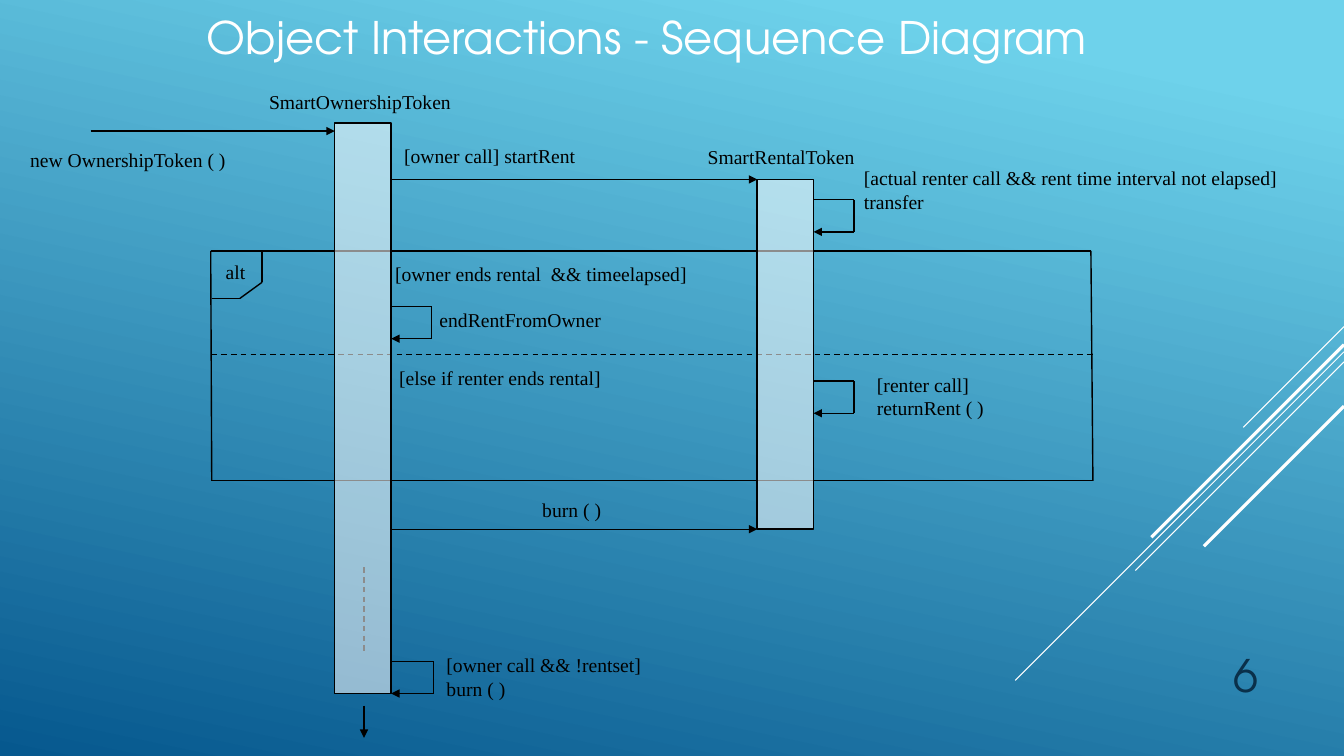
"""Builds the sequence diagram slide of the token rental interactions."""
from itertools import pairwise

from lxml import etree
from pptx import Presentation
from pptx import util as u
from pptx.dml.color import RGBColor
from pptx.enum import dml, shapes, text
from pptx.oxml import ns

THEME = {
    "sky": "6ED2EB", "sea": "06588E", "ink": "000000", "light": "FFFFFF", "number": "0A304A",
    "display": "TeX Gyre Adventor", "body": "Times New Roman",
    "heading_size": 32, "label_size": 14, "line": 1, "hairline": 0.75, "stripe": 2.25,
    "bar_alpha": 55, "angle": 102,
}
WIDTH, HEIGHT = 13.33, 7.5
BAR_WIDTH, LOOP_HEIGHT = 0.56, 0.32
ROW, TWO_ROWS = 0.34, 0.57

OWNER, RENTAL = 3.32, 7.51
OWNER_EDGE, RENTAL_EDGE = OWNER + BAR_WIDTH, RENTAL + BAR_WIDTH
OWNER_AXIS = OWNER + BAR_WIDTH / 2 + 0.01
START, BURN = 1.78, 5.25
FRAME_TOP, FRAME_MIDDLE, FRAME_BOTTOM = 2.49, 3.52, 4.77
FRAME_LEFT, FRAME_RIGHT = 2.1, 10.84

TITLE = ("Object Interactions - Sequence Diagram", 1.95, 0.05, 9.04, 0.64)
PAGE = ("6", 11.33, 6.28, 1.25, 0.73)
LABELS = [
    ("new OwnershipToken ( )", 0.2, 1.42, 2.15, ROW),
    ("SmartOwnershipToken", 2.57, 0.84, 2.06, ROW),
    ("SmartRentalToken", 6.92, 1.39, 1.74, ROW),
    ("[owner call] startRent", 3.91, 1.38, 2.55, ROW),
    ("[actual renter call && rent time interval not elapsed]\ntransfer", 8.47, 1.6, 4.33, TWO_ROWS),
    ("alt", 2.14, 2.53, 0.42, ROW),
    ("[owner ends rental  && timeelapsed]", 3.82, 2.55, 3.15, ROW),
    ("endRentFromOwner", 4.26, 3.01, 1.92, ROW),
    ("[else if renter ends rental]", 3.86, 3.58, 2.25, ROW),
    ("[renter call]\nreturnRent ( )", 8.6, 3.65, 1.27, TWO_ROWS),
    ("burn ( )", 5.28, 4.89, 0.83, ROW),
    ("[owner call && !rentset]\nburn ( )", 4.33, 6.43, 2.23, TWO_ROWS),
]
BARS = [(RENTAL, START, BURN), (OWNER, 1.22, 6.88)]
MESSAGES = [
    [(0.9, 1.3), (OWNER, 1.3)],
    [(OWNER_EDGE, START), (RENTAL, START)],
    [(OWNER_EDGE, BURN), (RENTAL, BURN)],
    [(OWNER_AXIS, 7), (OWNER_AXIS, 7.32)],
]
SELF_CALLS = [
    (RENTAL_EDGE, 1.98, 0.4), (RENTAL_EDGE, 3.78, 0.4),
    (OWNER_EDGE, 3.04, 0.4), (OWNER_EDGE, 6.56, 0.42),
]
OUTLINES = [
    [(2.09, FRAME_TOP), (10.82, FRAME_TOP), (FRAME_RIGHT, FRAME_BOTTOM),
     (FRAME_LEFT, FRAME_BOTTOM), (2.09, FRAME_TOP)],
    [(FRAME_LEFT, 2.96), (2.38, 2.96), (2.6, 2.8), (2.6, FRAME_TOP)],
]
DASHES = [
    [(FRAME_LEFT, FRAME_MIDDLE), (FRAME_RIGHT, FRAME_MIDDLE)],
    [(OWNER_AXIS, 5.63), (OWNER_AXIS, 6.47)],
]
STRIPES = [
    (3.24, 1, "hairline"), (3.49, 3.26, "hairline"), (3.59, 2.07, "hairline"),
    (3.42, 1.91, "stripe"), (4.03, 1.39, "stripe"),
]


def apply(target, values):
    for name, value in values.items():
        setattr(target, name, value)


def color(name):
    return RGBColor.from_string(THEME[name])


def place(box, left, top, width, height):
    apply(box, {"left": u.Inches(left), "top": u.Inches(top),
                "width": u.Inches(width), "height": u.Inches(height)})


def write(box, words, ink="ink", font="body", size="label_size", wrap=True,
          align=text.PP_ALIGN.LEFT, anchor=text.MSO_ANCHOR.TOP):
    frame = box.text_frame
    apply(frame, {"word_wrap": wrap, "vertical_anchor": anchor,
                  "auto_size": text.MSO_AUTO_SIZE.NONE})
    paragraph = frame.paragraphs[0]
    apply(paragraph, {"text": words, "alignment": align})
    for run in paragraph.runs:
        apply(run.font, {"name": THEME[font], "size": u.Pt(THEME[size])})
        run.font.color.rgb = color(ink)


def draw_path(slide, points, ink="ink", weight="line", dash=False, arrow=False):
    for start, end in pairwise(points):
        line = slide.shapes.add_connector(
            shapes.MSO_CONNECTOR.STRAIGHT, *map(u.Inches, (*start, *end)))
        line.line.color.rgb = color(ink)
        line.line.width = u.Pt(THEME[weight])
        if dash:
            line.line.dash_style = dml.MSO_LINE.DASH
        if arrow and end == points[-1]:
            etree.SubElement(line.line._get_or_add_ln(), ns.qn("a:tailEnd"), type="triangle")
        etree.SubElement(line._element.spPr, ns.qn("a:effectLst"))


def draw_bar(slide, left, top, bottom):
    bar = slide.shapes.add_shape(
        shapes.MSO_SHAPE.RECTANGLE, *map(u.Inches, (left, top, BAR_WIDTH, bottom - top)))
    bar.shadow.inherit = False
    bar.fill.solid()
    bar.fill.fore_color.rgb = color("light")
    tint = bar._element.spPr.find(ns.qn("a:solidFill"))[0]
    etree.SubElement(tint, ns.qn("a:alpha"), val=str(THEME["bar_alpha"] * 1000))
    bar.line.color.rgb = color("ink")
    bar.line.width = u.Pt(THEME["line"])


def add_label(slide, words, *area, **style):
    write(slide.shapes.add_textbox(*map(u.Inches, area)), words, **style)


def paint_background(slide):
    fill = slide.background.fill
    fill.gradient()
    fill.gradient_angle = 360 - THEME["angle"]
    for stop, name, position in zip(fill.gradient_stops, ("sky", "sea"), (0.1, 1)):
        stop.color.rgb = color(name)
        stop.position = position


def main():
    deck = Presentation()
    apply(deck, {"slide_width": u.Inches(WIDTH), "slide_height": u.Inches(HEIGHT)})
    slide = deck.slides.add_slide(deck.slide_layouts[5])
    paint_background(slide)

    words, *area = TITLE
    place(slide.shapes.title, *area)
    write(slide.shapes.title, words, "light", "display", "heading_size", wrap=False)

    for top, reach, weight in STRIPES:
        draw_path(slide, [(WIDTH, top), (WIDTH - reach, top + reach)], "light", weight)
    add_label(slide, *PAGE, ink="number", font="display", size="heading_size",
              align=text.PP_ALIGN.RIGHT, anchor=text.MSO_ANCHOR.BOTTOM)

    for points in OUTLINES:
        draw_path(slide, points)
    for points in DASHES:
        draw_path(slide, points, dash=True)
    for edge, top, reach in SELF_CALLS:
        far, bottom = edge + reach, top + LOOP_HEIGHT
        MESSAGES.append([(edge, top), (far, top), (far, bottom), (edge, bottom)])
    for points in MESSAGES:
        draw_path(slide, points, arrow=True)
    for bar in BARS:
        draw_bar(slide, *bar)
    for label in LABELS:
        add_label(slide, *label)

    deck.save("out.pptx")


if __name__ == "__main__":
    main()
